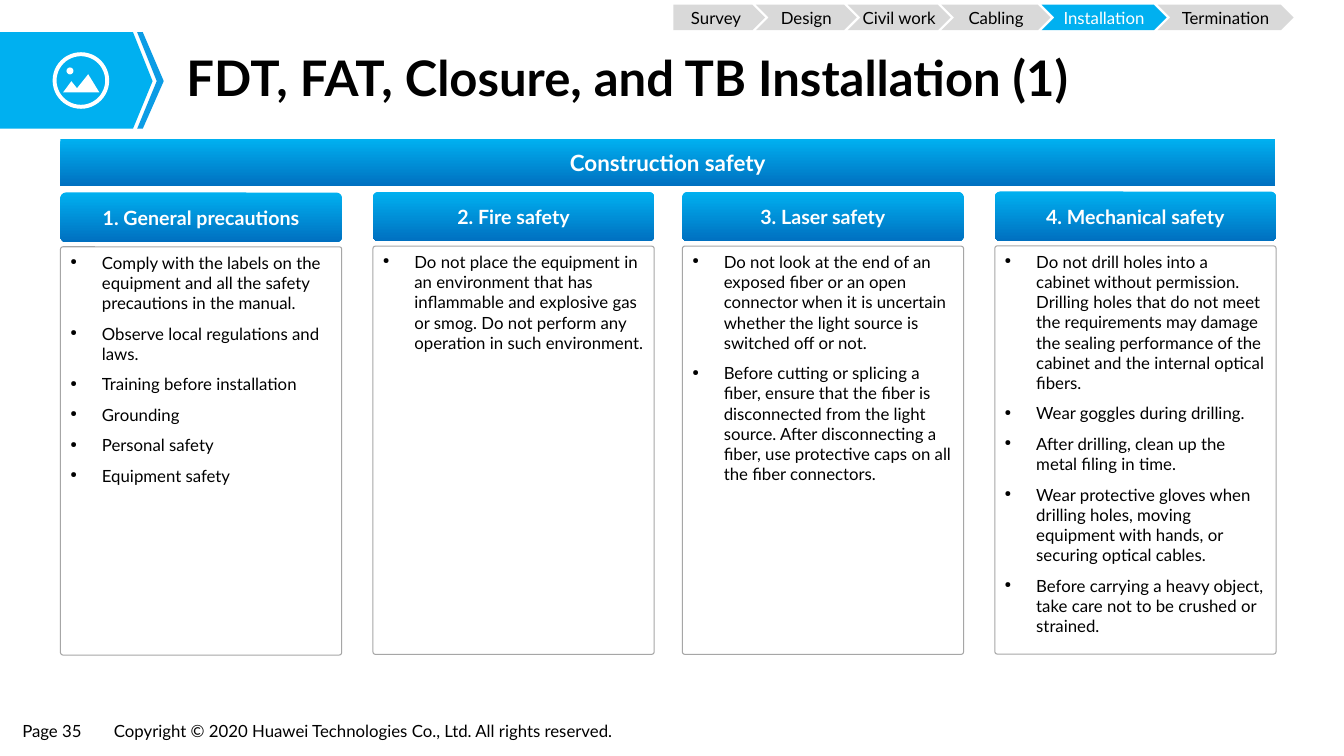
"""Build the construction safety slide."""
from dataclasses import dataclass

from lxml import etree
from pptx import Presentation
from pptx.dml.color import RGBColor
from pptx.enum.shapes import MSO_SHAPE
from pptx.enum.text import MSO_ANCHOR, PP_ALIGN
from pptx.oxml.ns import qn
from pptx.util import Pt

RECT, ROUND_RECT = MSO_SHAPE.RECTANGLE, MSO_SHAPE.ROUNDED_RECTANGLE
PENTAGON, CHEVRON = MSO_SHAPE.PENTAGON, MSO_SHAPE.CHEVRON
OVAL, DONUT = MSO_SHAPE.OVAL, MSO_SHAPE.DONUT
TOP, MIDDLE = MSO_ANCHOR.TOP, MSO_ANCHOR.MIDDLE
LEFT, CENTER = PP_ALIGN.LEFT, PP_ALIGN.CENTER


@dataclass(frozen=True)
class Theme:
    """Colours, font and type sizes of the slide."""
    font: str = "Lato"
    black: RGBColor = RGBColor(0x00, 0x00, 0x00)
    white: RGBColor = RGBColor(0xFF, 0xFF, 0xFF)
    sky: RGBColor = RGBColor(0x00, 0xB0, 0xF0)
    stripe: RGBColor = RGBColor(0x0B, 0x9C, 0xE5)
    deep: RGBColor = RGBColor(0x00, 0x70, 0xC0)
    step: RGBColor = RGBColor(0xD9, 0xD9, 0xD9)
    border: RGBColor = RGBColor(0xA6, 0xA6, 0xA6)
    title: float = 35
    banner: float = 16
    heading: float = 14
    body: float = 12


THEME = Theme()

STEPS = [("Survey", 65.5), ("Design", 72), ("Civil work", 73.5),
         ("Cabling", 78), ("Installation", 89.3), ("Termination", 97.2)]
CURRENT_STEP = "Installation"
STEP_LEFT, STEP_OVERLAP = 481, 6.5

COLUMN_WIDTH = 200.9
COLUMNS = [
    (43.2, 137.5, "1. General precautions", [
        "Comply with the labels on the equipment and all the safety precautions in the manual.",
        "Observe local regulations and laws.",
        "Training before installation",
        "Grounding",
        "Personal safety",
        "Equipment safety",
    ]),
    (266.4, 137, "2. Fire safety", [
        "Do not place the equipment in an environment that has inflammable and explosive gas "
        "or smog. Do not perform any operation in such environment.",
    ]),
    (487.4, 137, "3. Laser safety", [
        "Do not look at the end of an exposed fiber or an open connector when it is uncertain "
        "whether the light source is switched off or not.",
        "Before cutting or splicing a fiber, ensure that the fiber is disconnected from the "
        "light source. After disconnecting a fiber, use protective caps on all the fiber "
        "connectors.",
    ]),
    (710.6, 136.8, "4. Mechanical safety", [
        "Do not drill holes into a cabinet without permission. Drilling holes that do not meet "
        "the requirements may damage the sealing performance of the cabinet and the internal "
        "optical fibers.",
        "Wear goggles during drilling.",
        "After drilling, clean up the metal filing in time.",
        "Wear protective gloves when drilling holes, moving equipment with hands, or securing "
        "optical cables.",
        "Before carrying a heavy object, take care not to be crushed or strained.",
    ]),
]


def style_paragraph(para, size, color, bold=False, align=LEFT):
    """Set the font and alignment of one paragraph."""
    para.alignment = align
    para.font.name = THEME.font
    para.font.size = Pt(size)
    para.font.bold = bold
    para.font.color.rgb = color


def set_frame(frame, anchor, side, edge, wrap=True):
    """Set the anchor, margins and wrapping of a text frame."""
    frame.word_wrap = wrap
    frame.vertical_anchor = anchor
    frame.margin_left = frame.margin_right = Pt(side)
    frame.margin_top = frame.margin_bottom = Pt(edge)


def paint(shape, color):
    """Give a shape a plain fill with no line or shadow."""
    shape.shadow.inherit = False
    shape.line.fill.background()
    shape.fill.solid()
    shape.fill.fore_color.rgb = color


def add_block(page, kind, left, top, width, height, color=THEME.white):
    """Add a plain preset shape."""
    block = page.shapes.add_shape(kind, Pt(left), Pt(top), Pt(width), Pt(height))
    paint(block, color)
    return block


def add_outline(page, points, color):
    """Add a filled polygon."""
    builder = page.shapes.build_freeform(*points[0], scale=Pt(1))
    builder.add_line_segments(points[1:])
    paint(builder.convert_to_shape(), color)


def add_label(page, text, left, top, width, height):
    """Add a one-line footer label."""
    box = page.shapes.add_textbox(Pt(left), Pt(top), Pt(width), Pt(height))
    set_frame(box.text_frame, TOP, 6.5, 3, wrap=False)
    box.text_frame.text = text
    style_paragraph(box.text_frame.paragraphs[0], THEME.body, THEME.black)


def add_title(page, text):
    """Add the slide title."""
    box = page.shapes.add_textbox(Pt(125.3), Pt(32.4), Pt(774), Pt(50.4))
    set_frame(box.text_frame, MIDDLE, 7.9, 4.3)
    box.text_frame.text = text
    para = box.text_frame.paragraphs[0]
    para.line_spacing = 0.9
    style_paragraph(para, THEME.title, THEME.black, bold=True)


def add_gradient_bar(page, kind, left, top, width, height, text, size):
    """Add a bar shaded from top to bottom with a bold caption."""
    bar = add_block(page, kind, left, top, width, height)
    bar.fill.gradient()
    bar.fill.gradient_angle = 270
    for stop, color in zip(bar.fill.gradient_stops, (THEME.sky, THEME.deep)):
        stop.color.rgb = color
    set_frame(bar.text_frame, MIDDLE, 0, 3.6)
    bar.text_frame.text = text
    style_paragraph(bar.text_frame.paragraphs[0], size, THEME.white, True, CENTER)
    return bar


def add_bullet(para):
    """Give a paragraph a small round bullet with a hanging indent."""
    props = para._p.get_or_add_pPr()
    props.set("marL", str(Pt(22.5)))
    props.set("indent", str(-Pt(22.5)))
    etree.SubElement(props, qn("a:buSzPct"), val="50000")
    etree.SubElement(props, qn("a:buChar"), char="●")


def add_column(page, left, top, heading, items):
    """Add a headed panel with its bullet list."""
    box = page.shapes.add_textbox(Pt(left), Pt(top + 39.4), Pt(COLUMN_WIDTH), Pt(282))
    set_frame(box.text_frame, TOP, 7.2, 3.6)
    box.text_frame.text = "\n".join(items)
    for index, para in enumerate(box.text_frame.paragraphs):
        add_bullet(para)
        para.space_before = Pt(7.4 if index else 0)
        style_paragraph(para, THEME.body, THEME.black)

    header = add_gradient_bar(page, ROUND_RECT, left, top, COLUMN_WIDTH, 35.3,
                              heading, THEME.heading)
    header.adjustments[0] = 0.106

    panel = add_block(page, ROUND_RECT, left, top + 38.8, COLUMN_WIDTH, 291.6)
    panel.adjustments[0] = 0.009
    panel.fill.background()
    panel.line.color.rgb = THEME.border
    panel.line.width = Pt(0.75)


def add_steps(page):
    """Add the row of process steps with the current one lit."""
    left = STEP_LEFT
    for index, (name, width) in enumerate(STEPS):
        current = name == CURRENT_STEP
        arrow = add_block(page, CHEVRON if index else PENTAGON, left, 3.4, width, 18.2,
                          THEME.sky if current else THEME.step)
        set_frame(arrow.text_frame, MIDDLE, 0, 0, wrap=False)
        arrow.text_frame.text = name
        style_paragraph(arrow.text_frame.paragraphs[0], THEME.body,
                        THEME.white if current else THEME.black, align=CENTER)
        left += width - STEP_OVERLAP


def add_badge(page):
    """Add the title badge with its landscape icon."""
    add_outline(page, [(0, 23.3), (95, 23.3), (108.7, 57.5), (95, 91.6), (0, 91.6)], THEME.sky)
    add_outline(page, [(102.2, 23.3), (97.9, 23.3), (112.3, 57.5), (97.9, 91.6),
                       (102.2, 91.6), (116.6, 57.5)], THEME.stripe)
    ring = add_block(page, DONUT, 37.6, 37.3, 40.4, 40.4)
    ring.adjustments[0] = 0.07
    add_outline(page, [(70.6, 66.2), (45.4, 66.2), (51.1, 57.6), (55.4, 62.6), (62.6, 52.6)],
                THEME.white)
    add_block(page, OVAL, 47.5, 48.2, 5, 5)


def main():
    """Build and save the deck."""
    deck = Presentation()
    deck.slide_width, deck.slide_height = Pt(960), Pt(540)
    page = deck.slides.add_slide(deck.slide_layouts[6])
    add_label(page, "Page 35", 9.4, 511.9, 58.3, 20.9)
    add_label(page, "Copyright © 2020 Huawei Technologies Co., Ltd. All rights reserved.",
              74.9, 511.9, 389.5, 20.9)
    add_badge(page)
    add_title(page, "FDT, FAT, Closure, and TB Installation (1)")
    for column in COLUMNS:
        add_column(page, *column)
    add_gradient_bar(page, RECT, 43.2, 99.4, 867.6, 33.8, "Construction safety", THEME.banner)
    add_steps(page)
    deck.save("out.pptx")


if __name__ == "__main__":
    main()
